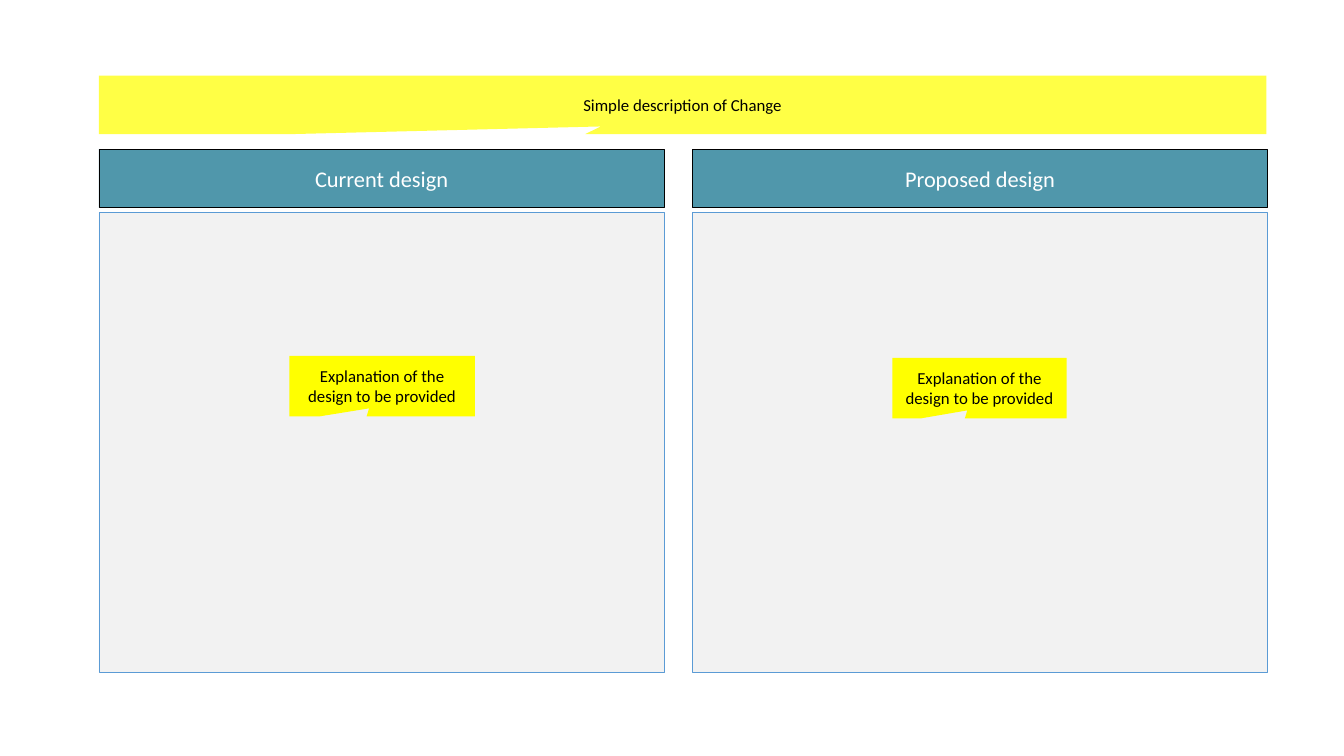
from pptx import Presentation
from pptx.dml.color import RGBColor as Rgb
from pptx.enum.shapes import MSO_SHAPE as Kind
from pptx.enum.text import MSO_ANCHOR as Anchor, PP_ALIGN as Align
from pptx.util import Inches, Pt

COLORS = {
    "teal": "5097AB",
    "gray": "F2F2F2",
    "blue": "5B9BD5",
    "note": "FFFF00",
    "banner": "FFFF45",
    "black": "000000",
    "white": "FFFFFF",
}


class Board:
    font = "Calibri"

    def __init__(self, slide):
        self.slide = slide

    def color(self, name):
        return Rgb.from_string(COLORS[name])

    def shape(self, kind, box, fill, line=None):
        shape = self.slide.shapes.add_shape(kind, *map(Inches, box))
        shape.shadow.inherit = False
        shape.fill.solid()
        shape.fill.fore_color.rgb = self.color(fill)
        if line:
            shape.line.color.rgb = self.color(line)
            shape.line.width = Pt(0.25)
        else:
            shape.line.fill.background()
        return shape

    def label(self, shape, text, size, color):
        frame = shape.text_frame
        frame.text = text
        frame.word_wrap = True
        frame.vertical_anchor = Anchor.MIDDLE
        line = frame.paragraphs[0]
        line.alignment = Align.CENTER
        font = line.runs[0].font
        font.name = self.font
        font.size = Pt(size)
        font.color.rgb = self.color(color)

    def header(self, box, text):
        shape = self.shape(Kind.RECTANGLE, box, "teal", "black")
        self.label(shape, text, 16, "white")

    def panel(self, box):
        self.shape(Kind.RECTANGLE, box, "gray", "blue")

    def callout(self, box, text, fill):
        shape = self.shape(Kind.RECTANGULAR_CALLOUT, box, fill)
        shape.adjustments[0] = -0.07
        shape.adjustments[1] = 0.37
        self.label(shape, text, 12, "black")


def main():
    deck = Presentation()
    deck.slide_width = Inches(13.33)
    deck.slide_height = Inches(7.5)
    board = Board(deck.slides.add_slide(deck.slide_layouts[6]))

    board.callout((0.98, 0.75, 11.58, 0.58), "Simple description of Change", "banner")
    designs = [
        ("Current design", 0.98, 5.61, (2.87, 3.53, 1.84, 0.6)),
        ("Proposed design", 6.87, 5.7, (8.85, 3.55, 1.73, 0.6)),
    ]
    for name, left, width, note in designs:
        board.header((left, 1.48, width, 0.58), name)
        board.panel((left, 2.11, width, 4.56))
        board.callout(note, "Explanation of the design to be provided", "note")

    deck.save("out.pptx")


if __name__ == "__main__":
    main()
